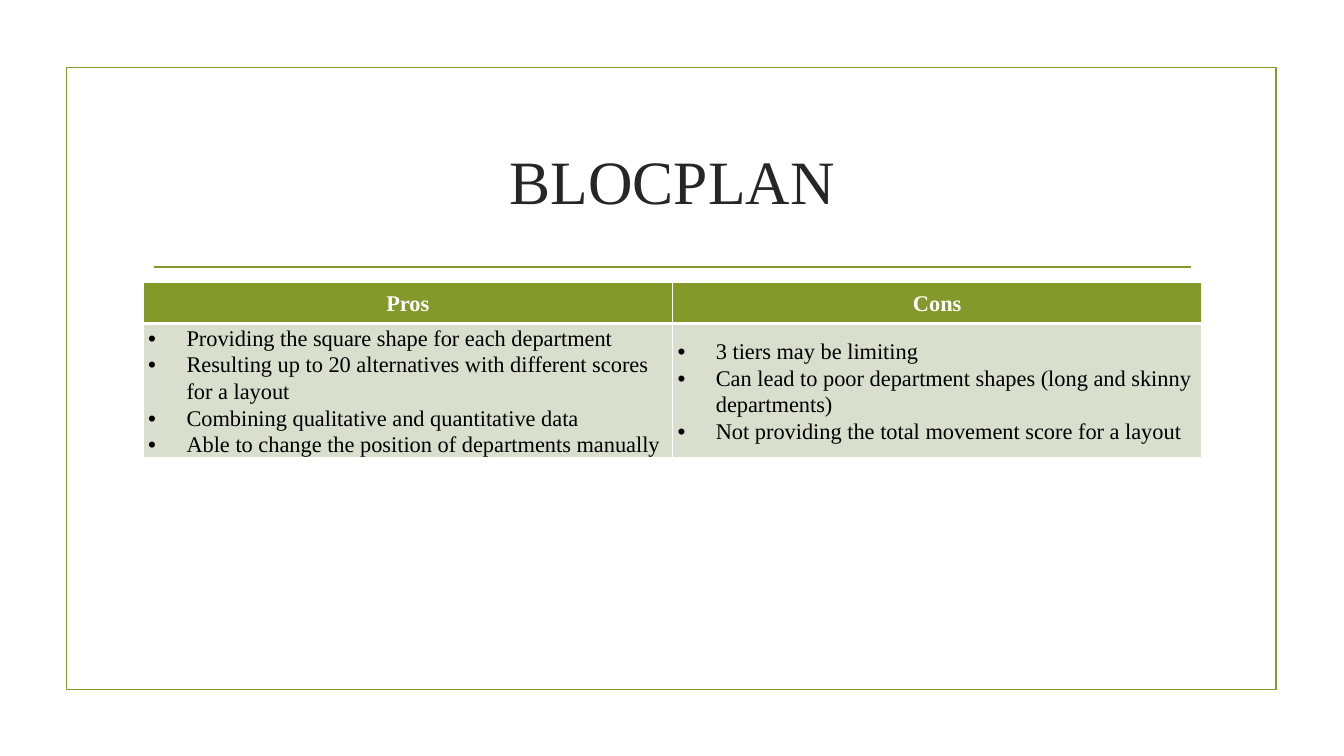
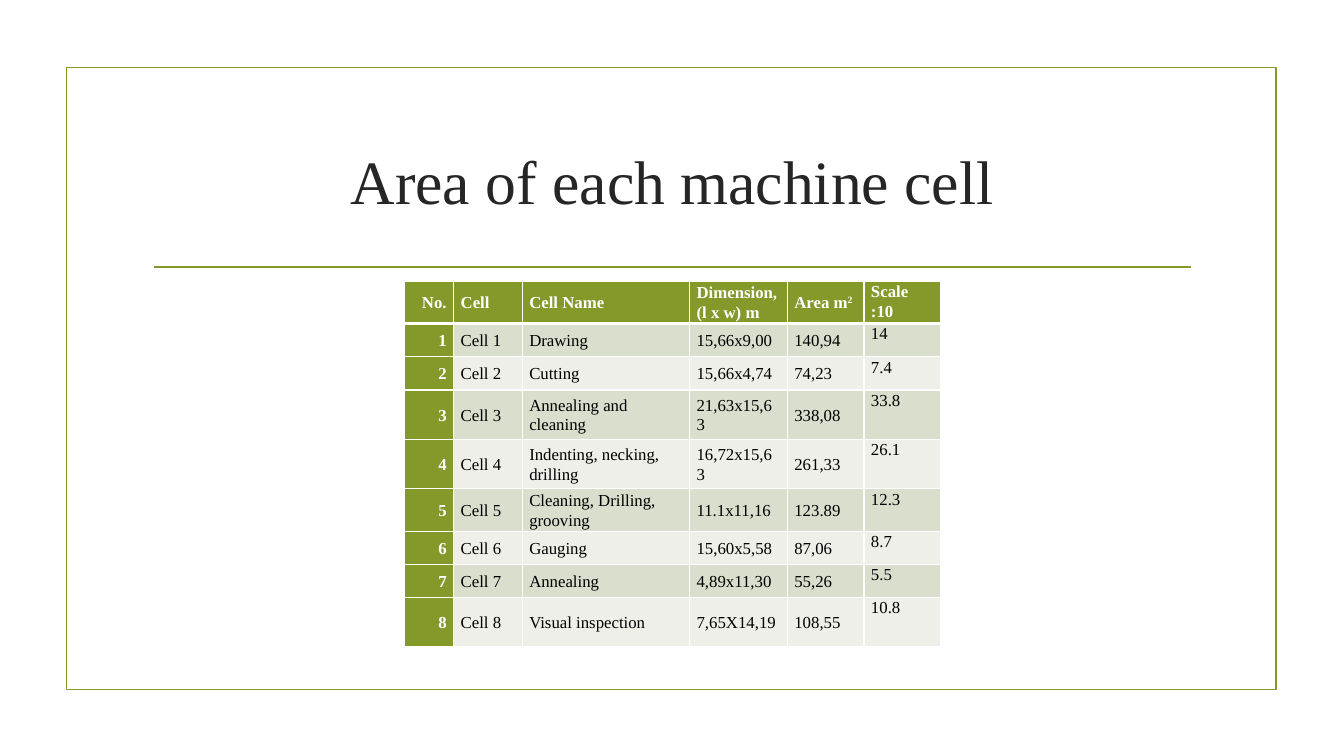
import pptx
import pptx.util
import pptx.dml.color
import pptx.enum.shapes
import pptx.enum.text
import pptx.oxml
import pptx.oxml.ns
import lxml.etree

Inches = pptx.util.Inches
Pt = pptx.util.Pt
ALIGN = pptx.enum.text.PP_ALIGN
ANCHOR = pptx.enum.text.MSO_ANCHOR

FONT = "Times New Roman"
GREEN, INK, WHITE, BLACK = "83992A", "262626", "FFFFFF", "000000"
BANDS = ("D9DECD", "EDEFE8")

SLIDES = [
    {
        "title": "BLOCPLAN",
        "at": (1.42, 2.8),
        "cols": [5.25, 5.25],
        "row_heights": [0.41, 1.31],
        "size": 16,
        "margins": (0.05, 0.01),
        "header_align": ALIGN.CENTER,
        "numbered": False,
        "top_col": None,
        "rows": [
            ["Pros", "Cons"],
            [
                [
                    "Providing the square shape for each department",
                    "Resulting up to 20 alternatives with different scores for a layout",
                    "Combining qualitative and quantitative data",
                    "Able to change the position of departments manually",
                ],
                [
                    "3 tiers may be limiting",
                    "Can lead to poor department shapes (long and skinny departments)",
                    "Not providing the total movement score for a layout",
                ],
            ],
        ],
    },
    {
        "title": "Area of each machine cell",
        "at": (4.01, 2.79),
        "cols": [0.49, 0.68, 1.66, 0.97, 0.76, 0.76],
        "row_heights": [0.42, 0.33, 0.33, 0.49, 0.49, 0.42, 0.33, 0.33, 0.49],
        "size": 12,
        "margins": (0.07, 0),
        "header_align": ALIGN.LEFT,
        "numbered": True,
        "top_col": 5,
        "rows": [
            ["No.", "Cell", "Cell Name", "Dimension, (l x w) m", ("Area m", "2"), "Scale :10"],
            ["1", "Cell 1", "Drawing", "15,66x9,00", "140,94", "14"],
            ["2", "Cell 2", "Cutting", "15,66x4,74", "74,23", "7.4"],
            ["3", "Cell 3", "Annealing and cleaning", "21,63x15,63", "338,08", "33.8"],
            ["4", "Cell 4", "Indenting, necking, drilling", "16,72x15,63", "261,33", "26.1"],
            ["5", "Cell 5", "Cleaning, Drilling, grooving", "11.1x11,16", "123.89", "12.3"],
            ["6", "Cell 6", "Gauging", "15,60x5,58", "87,06", "8.7"],
            ["7", "Cell 7", "Annealing", "4,89x11,30", "55,26", "5.5"],
            ["8", "Cell 8", "Visual inspection", "7,65X14,19", "108,55", "10.8"],
        ],
    },
]


def rgb(color):
    return pptx.dml.color.RGBColor.from_string(color)


def format_runs(p, size, color, bold=False):
    for r in p.runs:
        r.font.name = FONT
        r.font.size = Pt(size)
        r.font.bold = bold
        r.font.color.rgb = rgb(color)


def add_frame(s):
    sp = s.shapes.add_shape(pptx.enum.shapes.MSO_SHAPE.RECTANGLE,
                            Inches(0.66), Inches(0.67), Inches(12), Inches(6.17))
    sp.shadow.inherit = False
    sp.fill.background()
    rule = s.shapes.add_connector(pptx.enum.shapes.MSO_CONNECTOR.STRAIGHT,
                                  Inches(1.53), Inches(2.65), Inches(11.81), Inches(2.65))
    lxml.etree.SubElement(rule._element.spPr, pptx.oxml.ns.qn("a:effectLst"))
    for shape in (sp, rule):
        shape.line.color.rgb = rgb(GREEN)
        shape.line.width = Pt(1.25)


def set_title(s, text):
    sp = s.shapes.title
    sp.left, sp.top, sp.width, sp.height = map(Inches, (1.42, 1.07, 10.5, 1.43))
    tf = sp.text_frame
    tf.text = text
    tf.vertical_anchor = ANCHOR.MIDDLE
    p = tf.paragraphs[0]
    p.alignment = ALIGN.CENTER
    format_runs(p, 44, INK)


def add_bullet(p):
    pPr = p._p.get_or_add_pPr()
    pPr.set("marL", str(Inches(0.38)))
    pPr.set("indent", str(-Inches(0.38)))
    lxml.etree.SubElement(pPr, pptx.oxml.ns.qn("a:buFont")).set("typeface", "Arial")
    lxml.etree.SubElement(pPr, pptx.oxml.ns.qn("a:buChar")).set("char", "•")


def set_borders(cell, top, bottom):
    tcPr = cell._tc.get_or_add_tcPr()
    for i, (side, width) in enumerate(zip("LRTB", (1, 1, top, bottom))):
        tcPr.insert(i, pptx.oxml.parse_xml(
            f'<a:ln{side} {pptx.oxml.ns.nsdecls("a")} w="{Pt(width)}">'
            f'<a:solidFill><a:srgbClr val="{WHITE}"/></a:solidFill></a:ln{side}>'))


def fill_cell(cell, content, row, col, table):
    header = row == 0
    number = table["numbered"] and col == 0
    accent = header or number
    cell.fill.solid()
    cell.fill.fore_color.rgb = rgb(GREEN if accent else BANDS[(row - 1) % 2])
    set_borders(cell, 3 if row == 1 else 1, 3 if header else 1)
    side, top = table["margins"]
    cell.margin_left = cell.margin_right = Inches(side)
    cell.margin_top, cell.margin_bottom = Inches(top), 0
    cell.vertical_anchor = ANCHOR.TOP if col == table["top_col"] else ANCHOR.MIDDLE

    tf = cell.text_frame
    bulleted = isinstance(content, list)
    for i, item in enumerate(content if bulleted else [content]):
        p = tf.add_paragraph() if i else tf.paragraphs[0]
        if isinstance(item, tuple):
            p.text = item[0]
            r = p.add_run()
            r.text = item[1]
            r._r.get_or_add_rPr().set("baseline", "30000")
        else:
            p.text = item
        p.line_spacing = 1.07
        p.alignment = ALIGN.RIGHT if number else table["header_align"] if header else ALIGN.LEFT
        if bulleted:
            add_bullet(p)
        format_runs(p, table["size"], WHITE if accent else BLACK, accent)


def add_grid(s, table):
    cols, heights = table["cols"], table["row_heights"]
    left, top = table["at"]
    grid = s.shapes.add_table(len(heights), len(cols), Inches(left), Inches(top),
                              Inches(sum(cols)), Inches(sum(heights))).table
    grid.horz_banding = False
    for column, width in zip(grid.columns, cols):
        column.width = Inches(width)
    for row, height in zip(grid.rows, heights):
        row.height = Inches(height)
    for i, row in enumerate(table["rows"]):
        for j, content in enumerate(row):
            fill_cell(grid.cell(i, j), content, i, j, table)


def main():
    prs = pptx.Presentation()
    prs.slide_width, prs.slide_height = Inches(13.33), Inches(7.5)
    for content in SLIDES:
        s = prs.slides.add_slide(prs.slide_layouts[5])
        add_frame(s)
        set_title(s, content["title"])
        add_grid(s, content)
    prs.save("out.pptx")


if __name__ == "__main__":
    main()
